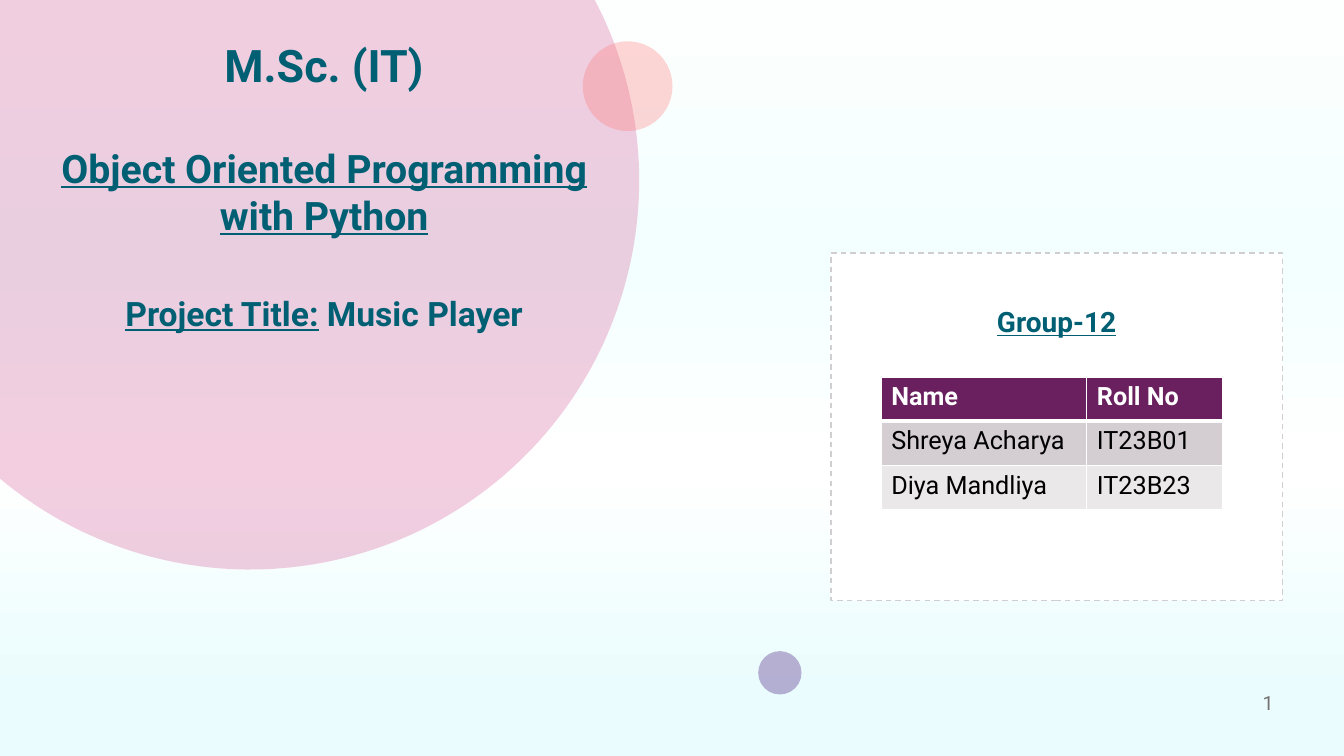
from math import acos, asin, cos, pi, sin

from lxml.etree import SubElement
from pptx import Presentation
from pptx.dml.color import RGBColor
from pptx.enum.dml import MSO_LINE
from pptx.enum.shapes import MSO_SHAPE
from pptx.enum.text import MSO_ANCHOR, PP_ALIGN
from pptx.oxml.ns import qn
from pptx.util import Inches, Pt

WIDTH, HEIGHT = 13.33, 7.5
FONT = "Roboto"
WHITE = RGBColor(0xFF, 0xFF, 0xFF)
BLACK = RGBColor(0, 0, 0)
TEAL = RGBColor(0x00, 0x5F, 0x73)
GREY = RGBColor(0x76, 0x71, 0x71)
BORDER = RGBColor(0xD0, 0xCE, 0xCE)
PINK = RGBColor(0xC4, 0x0C, 0x67)
CORAL = RGBColor(0xFF, 0x76, 0x75)
VIOLET = RGBColor(0x36, 0x00, 0x70)
PLUM = RGBColor(0x6A, 0x20, 0x5F)
BANDS = [RGBColor(0xD4, 0xCD, 0xD2), RGBColor(0xEB, 0xE8, 0xEA)]
SKY = [
    (8, RGBColor(0xEA, 0xFC, 0xFD)),
    (38, WHITE),
    (66, RGBColor(0xF3, 0xFF, 0xFF)),
    (99, RGBColor(0xFC, 0xFF, 0xFE)),
]
MEMBERS = [
    ("Name", "Roll No"),
    ("Shreya Acharya", "IT23B01"),
    ("Diya Mandliya", "IT23B23"),
]


def inches(*lengths):
    return [Inches(v) for v in lengths]


def add_text(p, text, size, color=TEAL, bold=True, underline=None):
    r = p.add_run()
    r.text = text
    r.font.name = FONT
    r.font.size = Pt(size)
    r.font.color.rgb = color
    r.font.bold = bold
    r.font.underline = underline


def add_box(s, box, top=0.05):
    sp = s.shapes.add_textbox(*inches(*box))
    sp.text_frame.word_wrap = True
    sp.text_frame.margin_top = Inches(top)
    return sp


def tint(sp, color, opacity):
    sp.shadow.inherit = False
    sp.line.fill.background()
    sp.fill.solid()
    sp.fill.fore_color.rgb = color
    clr = sp.element.xpath("./p:spPr/a:solidFill/a:srgbClr")[0]
    SubElement(clr, qn("a:alpha"), val=str(opacity * 1000))


def paint_background(s):
    fill = s.background.fill
    fill.gradient()
    fill.gradient_angle = 90
    stops = s.element.xpath(".//p:bg//a:gsLst")[0]
    for old in list(stops):
        stops.remove(old)
    for pos, color in SKY:
        gs = SubElement(stops, qn("a:gs"), pos=str(pos * 1000))
        SubElement(gs, qn("a:srgbClr"), val=str(color))


def add_cropped_circle(s, cx, cy, radius, steps=120):
    start, end = asin(-cy / radius), acos(-cx / radius)
    angles = [start + (end - start) * i / steps for i in range(steps + 1)]
    arc = [inches(cx + radius * cos(a), cy + radius * sin(a)) for a in angles]
    builder = s.shapes.build_freeform(0, 0)
    builder.add_line_segments(arc, close=True)
    tint(builder.convert_to_shape(), PINK, 20)


def add_dot(s, x, y, size, color):
    tint(s.shapes.add_shape(MSO_SHAPE.OVAL, *inches(x, y, size, size)), color, 30)


def add_title(s, box):
    tf = add_box(s, box, top=0.08).text_frame
    lines = [
        (0, [("M.Sc. (IT)", 32, None)]),
        (38, [("Object Oriented Programming with Python", 28, True)]),
        (39, [("Project Title:", 24, True), (" Music Player", 24, None)]),
    ]
    for i, (gap, runs) in enumerate(lines):
        p = tf.add_paragraph() if i else tf.paragraphs[0]
        p.alignment = PP_ALIGN.CENTER
        p.space_before = Pt(gap)
        for text, size, underline in runs:
            add_text(p, text, size, underline=underline)


def add_border(cell, side, width):
    ln = SubElement(cell._tc.get_or_add_tcPr(), qn("a:" + side), w=str(Pt(width)))
    SubElement(SubElement(ln, qn("a:solidFill")), qn("a:srgbClr"), val=str(WHITE))


def add_members(s, x, y, columns, row_height):
    size = sum(columns), row_height * len(MEMBERS)
    table = s.shapes.add_table(len(MEMBERS), len(columns), *inches(x, y, *size)).table
    for col, width in zip(table.columns, columns):
        col.width = Inches(width)
    for i, member in enumerate(MEMBERS):
        header = i == 0
        table.rows[i].height = Inches(row_height)
        for j, text in enumerate(member):
            cell = table.cell(i, j)
            color = WHITE if header else BLACK
            add_text(cell.text_frame.paragraphs[0], text, 18, color, bold=header)
            for side in ("lnL", "lnR", "lnT", "lnB"):
                thick = (i, side) in ((0, "lnB"), (1, "lnT"))
                add_border(cell, side, 3 if thick else 1)
            cell.fill.solid()
            cell.fill.fore_color.rgb = PLUM if header else BANDS[i - 1]


def add_group_card(s, box):
    x, y, w, h = box
    sp = s.shapes.add_shape(MSO_SHAPE.RECTANGLE, *inches(*box))
    sp.shadow.inherit = False
    sp.fill.solid()
    sp.fill.fore_color.rgb = WHITE
    sp.line.color.rgb = BORDER
    sp.line.width = Pt(1)
    sp.line.dash_style = MSO_LINE.DASH
    tf = sp.text_frame
    tf.vertical_anchor = MSO_ANCHOR.TOP
    tf.margin_top = Inches(0.51)
    p = tf.paragraphs[0]
    p.alignment = PP_ALIGN.CENTER
    add_text(p, "Group-12", 20, underline=True)
    add_members(s, x + 0.5, y + 1.23, (2.04, 1.35), 0.44)


def add_page_number(s, box):
    tf = add_box(s, box).text_frame
    tf.vertical_anchor = MSO_ANCHOR.MIDDLE
    p = tf.paragraphs[0]
    p.alignment = PP_ALIGN.RIGHT
    add_text(p, "1", 14, GREY, bold=False)


def main():
    prs = Presentation()
    prs.slide_width, prs.slide_height = inches(WIDTH, HEIGHT)
    s = prs.slides.add_slide(prs.slide_layouts[6])
    paint_background(s)
    add_cropped_circle(s, 2.48, 1.79, 3.86)
    add_dot(s, 5.78, 0.41, 0.89, CORAL)
    add_dot(s, 7.52, 6.46, 0.43, VIOLET)
    add_title(s, (0.1, 0.29, 6.23, 3.46))
    add_group_card(s, (8.24, 2.51, 4.48, 3.45))
    add_page_number(s, (WIDTH - 3.6, 6.77, 3, 0.4))
    prs.save("out.pptx")


if __name__ == "__main__":
    main()
